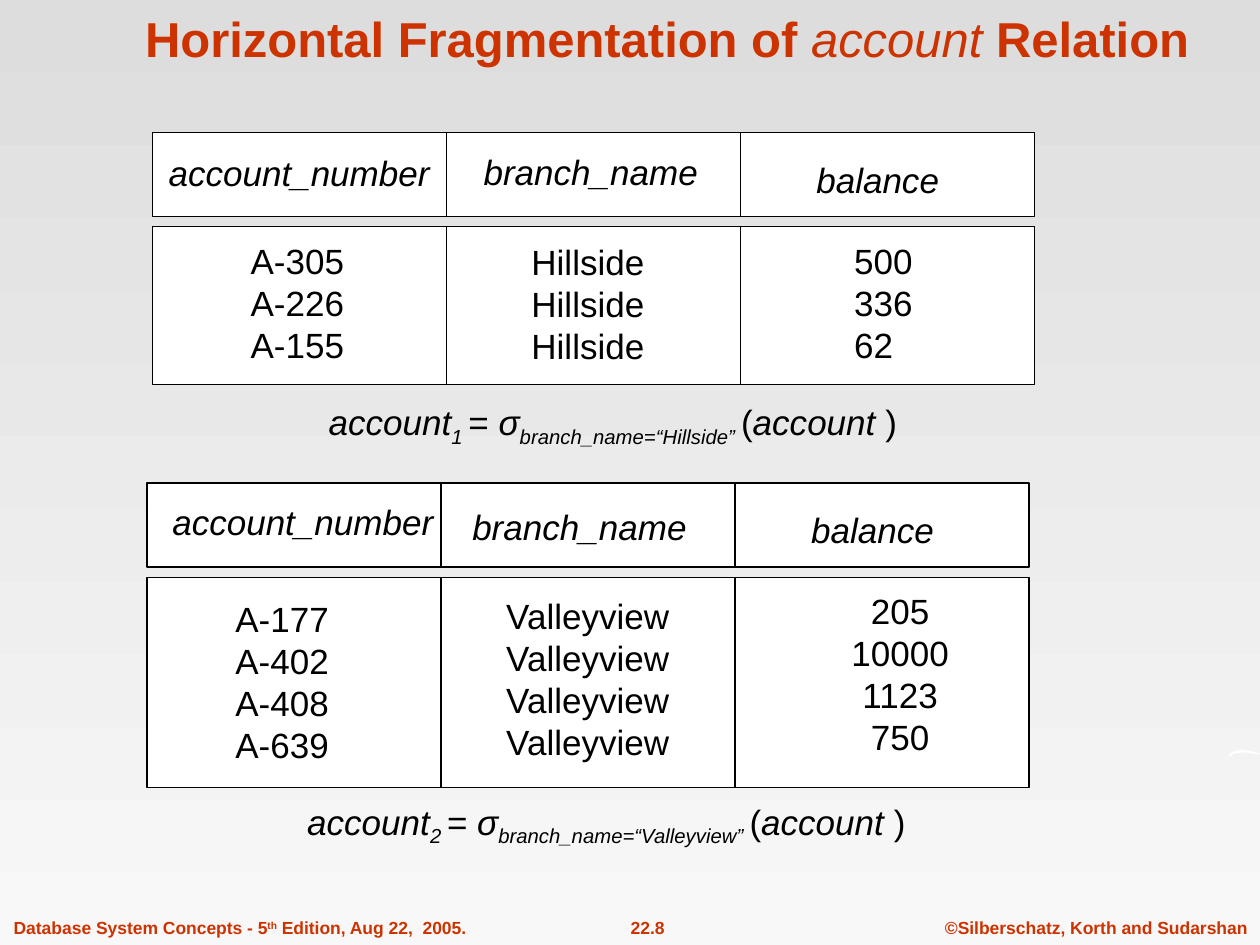
import pptx
import pptx.util
import pptx.dml.color
import pptx.enum.shapes
import pptx.enum.text

Pt = pptx.util.Pt
RGBColor = pptx.dml.color.RGBColor
Align = pptx.enum.text.PP_ALIGN
Anchor = pptx.enum.text.MSO_ANCHOR
AutoSize = pptx.enum.text.MSO_AUTO_SIZE

RED = RGBColor(0xCC, 0x33, 0x00)
BLACK = RGBColor(0, 0, 0)
WHITE = RGBColor(0xFF, 0xFF, 0xFF)
GREY_TOP = RGBColor(0xDD, 0xDD, 0xDD)
GREY_BOTTOM = RGBColor(0xF8, 0xF8, 0xF8)

FONT = "Arial"
COLUMN_WIDTH, HEADER_HEIGHT, HEADER_GAP = 168, 48, 6
HEADINGS = ["account_number", "branch_name", "balance"]
ITALIC = {"italic": True}
PLAIN = {"size": Pt(20), "name": FONT, "italic": False, "bold": False}
FOOTER = {"size": Pt(10), "name": FONT, "bold": True}
TITLE = {"size": Pt(28), "name": FONT, "bold": True, "italic": False}


def apply(target, values):
    for name, value in values.items():
        setattr(target, name, value)


def add_span(para, text, values, color, baseline=0):
    span = para.add_run()
    span.text = text
    apply(span.font, values)
    span.font.color.rgb = color
    if baseline:
        span._r.get_or_add_rPr().set("baseline", str(baseline * 1000))


def add_text(page, place, lines, base, color=BLACK, align=Align.LEFT, wrap=False):
    """Each line is a list of spans: (text, format changes, baseline percent)."""
    box = page.shapes.add_textbox(*map(Pt, place))
    frame = box.text_frame
    apply(frame, {"word_wrap": wrap, "auto_size": AutoSize.NONE})
    for index, spans in enumerate(lines):
        para = frame.add_paragraph() if index else frame.paragraphs[0]
        para.alignment = align
        for text, changes, baseline in spans:
            add_span(para, text, {**base, **changes}, color, baseline)


def add_cell(page, left, top, height):
    cell = page.shapes.add_shape(pptx.enum.shapes.MSO_SHAPE.RECTANGLE,
                                 Pt(left), Pt(top), Pt(COLUMN_WIDTH), Pt(height))
    cell.shadow.inherit = False
    cell.fill.solid()
    cell.fill.fore_color.rgb = WHITE
    cell.line.color.rgb = BLACK
    cell.line.width = Pt(0.74)


def add_relation(page, left, top, body_height, heading_places, columns):
    """Frames of one relation, then its headings and column values."""
    body_top = top + HEADER_HEIGHT + HEADER_GAP
    for index in range(len(HEADINGS)):
        cell_left = left + index * COLUMN_WIDTH
        add_cell(page, cell_left, top, HEADER_HEIGHT)
        add_cell(page, cell_left, body_top, body_height)
    for heading, place in zip(HEADINGS, heading_places):
        add_text(page, place, [[(heading, ITALIC, 0)]], PLAIN)
    for place, values, align in columns:
        add_text(page, place, [[(value, {}, 0)] for value in values], PLAIN, align=align)


def add_selection(page, place, number, branch):
    spans = [("account", ITALIC, 0), (f"{number} ", ITALIC, -25), ("= ", {}, 0),
             ("σ", ITALIC, 0), (f"branch_name=“{branch}” ", ITALIC, -25),
             ("(", {}, 0), ("account ", ITALIC, 0), (")", {}, 0)]
    add_text(page, place, [spans], PLAIN, wrap=True)


def add_background(page):
    fill = page.background.fill
    fill.gradient()
    fill.gradient_angle = 270
    for stop, color in zip(fill.gradient_stops, (GREY_TOP, GREY_BOTTOM)):
        stop.color.rgb = color


def add_title(page):
    title = page.shapes.title
    apply(title, {"left": Pt(30.2), "top": Pt(0), "width": Pt(702), "height": Pt(42)})
    apply(title.text_frame, {"vertical_anchor": Anchor.BOTTOM, "word_wrap": True,
                             "auto_size": AutoSize.NONE})
    para = title.text_frame.paragraphs[0]
    apply(para, {"alignment": Align.CENTER, "line_spacing": 0.8})
    add_span(para, "Horizontal Fragmentation of ", TITLE, RED)
    add_span(para, "account", {**TITLE, "bold": False, "italic": True}, RED)
    add_span(para, " Relation", TITLE, RED)


def add_footer(page):
    top, height = 520.6, 19.4
    edition = [("Database System Concepts - 5", {}, 0), ("th", {}, 30),
               (" Edition, Aug 22,  2005.", {}, 0)]
    add_text(page, (0.7, top, 273, height), [edition], FOOTER, RED)
    add_text(page, (332, top, 76.3, height), [[("22.8", {}, 0)]], FOOTER, RED, Align.CENTER)
    add_text(page, (532.8, top, 187.2, height),
             [[("©Silberschatz, Korth and Sudarshan", {}, 0)]], FOOTER, RED, Align.CENTER)


def add_white_stroke(page):
    outline = [(702, 432.7), (702.7, 430.6), (705.6, 429.1), (709.2, 428.4),
               (714.2, 429.1), (718.6, 430.2), (720, 430.6), (719.3, 431.3),
               (716.4, 430.7), (711.4, 429.9), (705.6, 430.6), (703, 432)]
    points = [(Pt(x), Pt(y)) for x, y in outline]
    builder = page.shapes.build_freeform(*points[0])
    builder.add_line_segments(points[1:], close=True)
    stroke = builder.convert_to_shape()
    stroke.shadow.inherit = False
    stroke.fill.solid()
    stroke.fill.fore_color.rgb = WHITE
    stroke.line.fill.background()


def main():
    deck = pptx.Presentation()
    apply(deck, {"slide_width": Pt(720), "slide_height": Pt(540)})
    page = deck.slides.add_slide(deck.slide_layouts[5])
    add_background(page)
    add_footer(page)
    add_white_stroke(page)
    add_title(page)

    # Hillside fragment
    add_relation(
        page, 87.2, 75.6, 90,
        [(89.3, 83, 163.4, 31.7), (269.3, 82.6, 136.8, 31.7), (459.4, 87.1, 84.2, 31.7)],
        [((136.1, 133.2, 67.7, 79.2), ["A-305", "A-226", "A-155"], Align.LEFT),
         ((296.6, 133.9, 78.5, 79.2), ["Hillside"] * 3, Align.LEFT),
         ((481, 133.2, 47.5, 79.2), ["500", "336", "62"], Align.LEFT)])
    add_selection(page, (180.7, 225.4, 368, 34.6), 1, "Hillside")

    # Valleyview fragment
    add_relation(
        page, 84, 276, 120,
        [(91.4, 282.2, 163.4, 31.7), (262.8, 285.1, 136.8, 31.7), (456.5, 287.3, 84.2, 31.7)],
        [((127.4, 337.7, 67.7, 103.7), ["A-177", "A-402", "A-408", "A-639"], Align.LEFT),
         ((282.2, 336.2, 108.7, 103.7), ["Valleyview"] * 4, Align.LEFT),
         ((479.5, 333.4, 69.8, 103.7), ["205", "10000", "1123", "750"], Align.CENTER)])
    add_selection(page, (168.5, 453.6, 384.5, 59), 2, "Valleyview")

    deck.save("out.pptx")


main()
